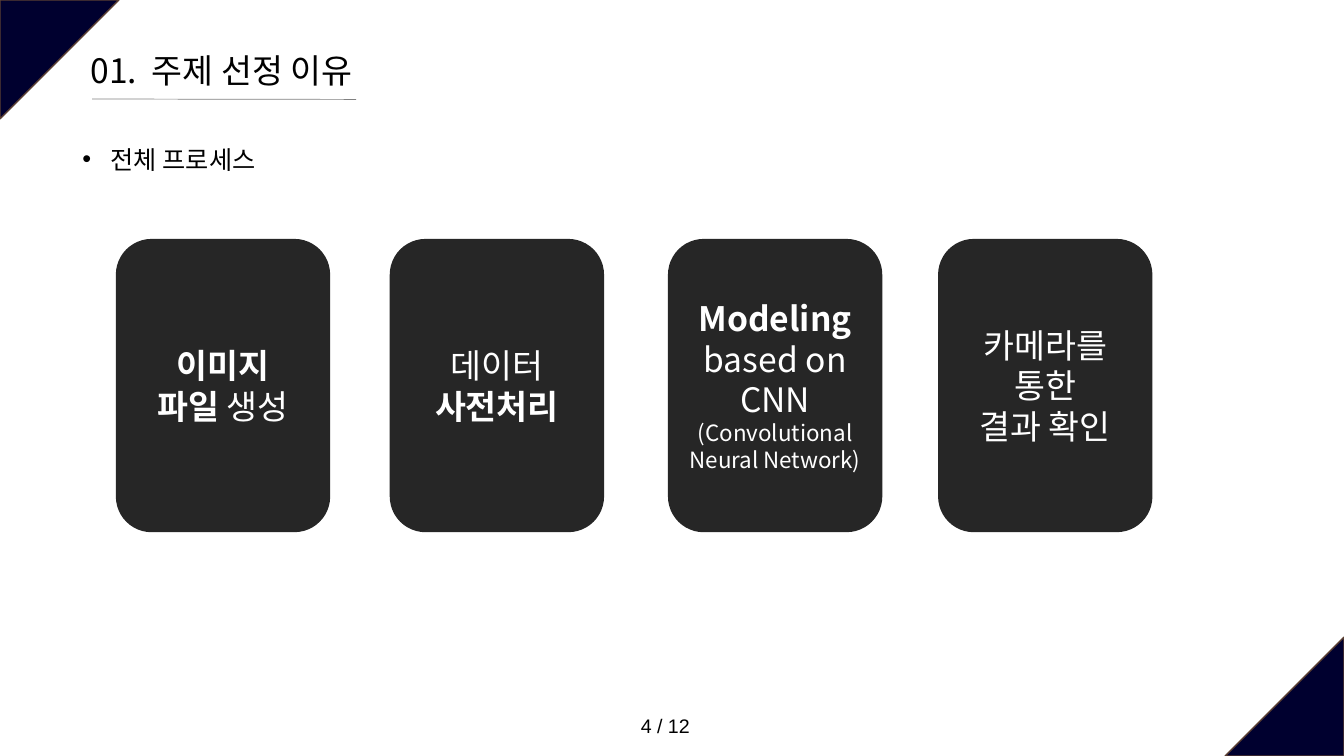
import pptx
import pptx.util
import pptx.dml.color
import pptx.enum.shapes
import pptx.enum.text
import pptx.oxml.ns
import lxml.etree

THEME = {
    "navy": "00002F", "brown": "5B3F33", "gray": "808080", "card": "262626",
    "black": "000000", "white": "FFFFFF",
    "font": "Noto Sans CJK KR", "number_font": "Arial",
    "large": 24, "medium": 18, "small": 16, "number": 14,
}
qn = pptx.oxml.ns.qn
rgb = pptx.dml.color.RGBColor.from_string
SHAPE = pptx.enum.shapes.MSO_SHAPE
ALIGN = pptx.enum.text.PP_ALIGN
ANCHOR = pptx.enum.text.MSO_ANCHOR

presentation = pptx.Presentation()
presentation.slide_width = pptx.util.Inches(13.33)
presentation.slide_height = pptx.util.Inches(7.5)
slide = presentation.slides.add_slide(presentation.slide_layouts[6])


def place(left, top, width, height):
    column = presentation.slide_width / 100
    row = presentation.slide_height / 100
    return [round(left * column), round(top * row), round(width * column), round(height * row)]


def write_text(shape, paragraphs, color="black", size="large", font="font",
               align=ALIGN.LEFT, anchor=ANCHOR.TOP, margin=0.1):
    frame = shape.text_frame
    frame.word_wrap = True
    frame.vertical_anchor = anchor
    frame.margin_left = frame.margin_right = pptx.util.Inches(margin)
    for index, runs in enumerate(paragraphs):
        paragraph = frame.paragraphs[0] if index == 0 else frame.add_paragraph()
        paragraph.alignment = align
        for text, changes in runs:
            for line_index, line in enumerate(text.split("\n")):
                if line_index:
                    paragraph.add_line_break()
                run = paragraph.add_run()
                run.text = line
                run.font.name = THEME[font]
                run.font.size = pptx.util.Pt(THEME[changes.get("size", size)])
                run.font.bold = changes.get("bold", False)
                run.font.color.rgb = rgb(THEME[color])
                east_asian = lxml.etree.SubElement(run.font._element, qn("a:ea"))
                east_asian.set("typeface", THEME[font])
    return frame.paragraphs[0]


for left, top, rotation in [(0, 0, 90), (91.15, 84.27, 270)]:
    corner = slide.shapes.add_shape(SHAPE.ISOSCELES_TRIANGLE, *place(left, top, 8.85, 15.73))
    corner.adjustments[0] = 0
    corner.rotation = rotation
    corner.shadow.inherit = False
    corner.fill.solid()
    corner.fill.fore_color.rgb = rgb(THEME["navy"])
    corner.line.color.rgb = rgb(THEME["brown"])
    corner.line.width = pptx.util.Pt(1)

underline = slide.shapes.add_connector(
    pptx.enum.shapes.MSO_CONNECTOR.STRAIGHT, *place(6.85, 13.1, 26.5, 13.15))
underline.line.color.rgb = rgb(THEME["gray"])
underline.line.width = pptx.util.Pt(0.5)
lxml.etree.SubElement(underline._element.spPr, qn("a:effectLst"))

title = slide.shapes.add_shape(SHAPE.RECTANGLE, *place(6, 5.87, 86.55, 6.8))
title.shadow.inherit = False
title.fill.solid()
title.fill.fore_color.rgb = rgb(THEME["white"])
title_color = title._element.spPr.find(qn("a:solidFill"))[0]
lxml.etree.SubElement(title_color, qn("a:alpha")).set("val", "80000")
title.line.color.rgb = rgb(THEME["white"])
title.line.width = pptx.util.Pt(1)
paragraph = write_text(title, [[("01.\t주제 선정 이유", {})]], anchor=ANCHOR.MIDDLE)
tabs = lxml.etree.SubElement(paragraph._p.get_or_add_pPr(), qn("a:tabLst"))
tab = lxml.etree.SubElement(tabs, qn("a:tab"))
tab.set("pos", str(pptx.util.Inches(0.61)))
tab.set("algn", "l")

subtitle = slide.shapes.add_textbox(*place(5.4, 16.4, 87.1, 7.33))
paragraph = write_text(subtitle, [[("전체 프로세스", {})]], size="medium")
paragraph.line_spacing = 1.5
properties = paragraph._p.get_or_add_pPr()
indent = pptx.util.Inches(0.28)
properties.set("marL", str(indent))
properties.set("indent", str(-indent))
bullet_color = lxml.etree.SubElement(properties, qn("a:buClr"))
lxml.etree.SubElement(bullet_color, qn("a:srgbClr")).set("val", THEME["black"])
lxml.etree.SubElement(properties, qn("a:buFont")).set("typeface", THEME["number_font"])
lxml.etree.SubElement(properties, qn("a:buChar")).set("char", "•")

steps = [
    (8.62, [[("이미지\n파일", {"bold": True}), (" 생성", {})]]),
    (29, [[("데이터\n", {}), ("사전처리", {"bold": True})]]),
    (49.7, [[("Modeling", {"bold": True}), (" based on CNN", {})],
            [("(Convolutional Neural Network)", {"size": "small"})]]),
    (69.8, [[("카메라를 통한\n결과 확인", {})]]),
]
for left, paragraphs in steps:
    card = slide.shapes.add_shape(SHAPE.ROUNDED_RECTANGLE, *place(left, 31.6, 15.95, 38.8))
    card.shadow.inherit = False
    card.fill.solid()
    card.fill.fore_color.rgb = rgb(THEME["card"])
    card.line.fill.background()
    write_text(card, paragraphs, color="white", align=ALIGN.CENTER,
               anchor=ANCHOR.MIDDLE, margin=0.05)

page_number = slide.shapes.add_textbox(*place(44.63, 93.73, 9.75, 4.53))
write_text(page_number, [[("4 / 12", {})]], size="number", font="number_font",
           align=ALIGN.CENTER)

presentation.save("out.pptx")
